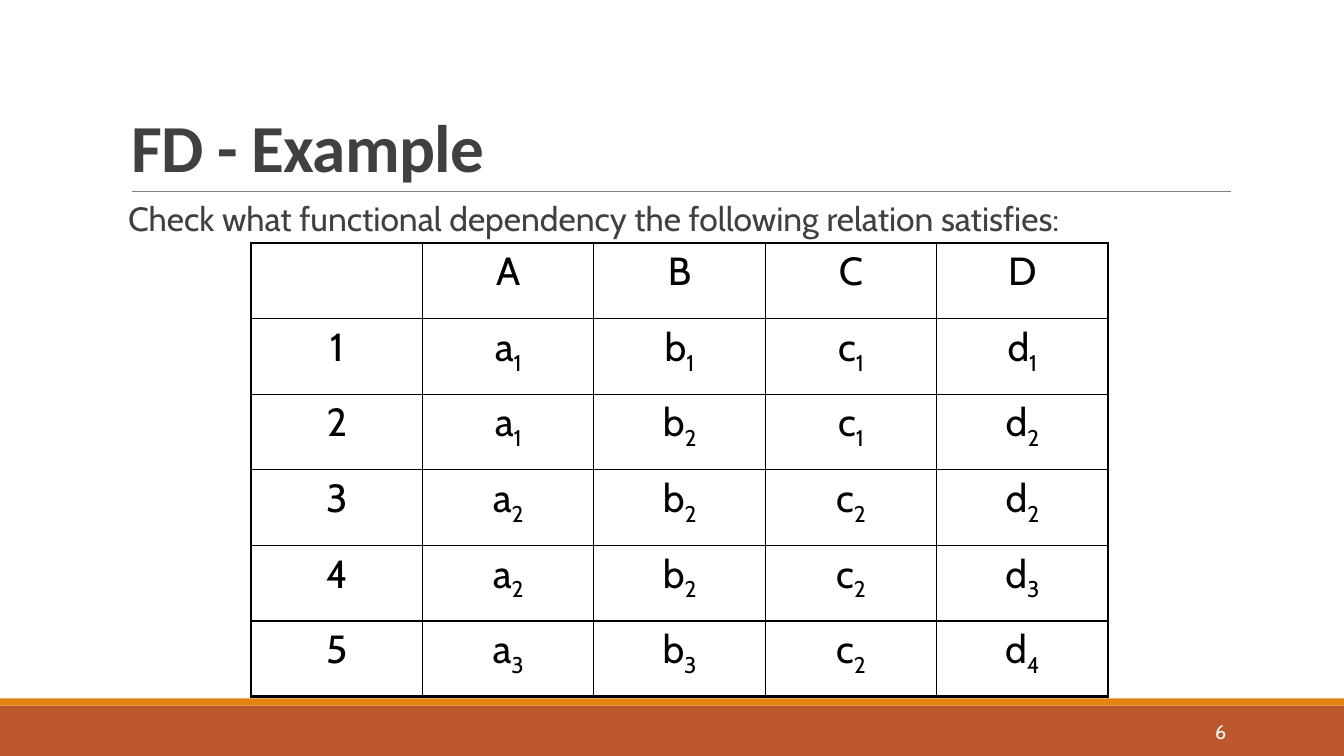
from lxml.etree import SubElement
from pptx import Presentation
from pptx.dml.color import RGBColor
from pptx.enum.shapes import MSO_CONNECTOR, MSO_SHAPE
from pptx.enum.text import MSO_ANCHOR, MSO_AUTO_SIZE, PP_ALIGN
from pptx.oxml.ns import qn
from pptx.util import Inches, Pt

BLACK = RGBColor(0x00, 0x00, 0x00)
WHITE = RGBColor(0xFF, 0xFF, 0xFF)
DARK_GRAY = RGBColor(0x40, 0x40, 0x40)
RULE_GRAY = RGBColor(0x80, 0x80, 0x80)
RUST = RGBColor(0xBD, 0x58, 0x2C)
ORANGE = RGBColor(0xE4, 0x83, 0x12)

SLIDE_WIDTH, SLIDE_HEIGHT = Inches(13.33), Inches(7.5)
COLUMN, ROW = Inches(1.7), Inches(0.75)
THIN, THICK = Pt(1), Pt(2.25)

RELATION = [
    ["", "A", "B", "C", "D"],
    ["1", "a1", "b1", "c1", "d1"],
    ["2", "a1", "b2", "c1", "d2"],
    ["3", "a2", "b2", "c2", "d2"],
    ["4", "a2", "b2", "c2", "d3"],
    ["5", "a3", "b3", "c2", "d4"],
]


def place(part, box):
    """Move a placeholder to its box."""
    part.left, part.top, part.width, part.height = box


def style(paragraph, size, color, face="Cabin", align=PP_ALIGN.LEFT):
    """Set the font and alignment of a paragraph."""
    paragraph.alignment = align
    paragraph.space_before = Pt(0)
    paragraph.font.size = Pt(size)
    paragraph.font.name = face
    paragraph.font.color.rgb = color


def add_footer(slide, box):
    """Draw the two footer bands and the page number."""
    left, top, width, height = box
    stripe = Inches(0.07)
    for band_top, band_height, color in (
        (top + stripe, height - stripe, RUST),
        (top, stripe, ORANGE),
    ):
        band = slide.shapes.add_shape(
            MSO_SHAPE.RECTANGLE, left, band_top, width, band_height)
        band.shadow.inherit = False
        band.fill.solid()
        band.fill.fore_color.rgb = color
        band.line.fill.background()
    page = slide.shapes.add_textbox(
        left + Inches(10.83), top + Inches(0.13), Inches(1.43), Inches(0.4))
    page.text_frame.word_wrap = True
    page.text_frame.vertical_anchor = MSO_ANCHOR.MIDDLE
    page.text_frame.text = "6"
    style(page.text_frame.paragraphs[0], 14, WHITE, align=PP_ALIGN.RIGHT)


def add_heading(slide, box):
    """Fill the title and draw the rule along its lower edge."""
    left, top, width, height = box
    title = slide.shapes.title
    place(title, box)
    frame = title.text_frame
    frame.text = "FD - Example"
    frame.vertical_anchor = MSO_ANCHOR.BOTTOM
    frame.auto_size = MSO_AUTO_SIZE.NONE
    heading = frame.paragraphs[0]
    style(heading, 48, DARK_GRAY, "Calibri")
    heading.font.bold = True
    heading.line_spacing = 0.85
    heading.runs[0].font._element.set("spc", "-50")
    bottom = top + height
    rule = slide.shapes.add_connector(
        MSO_CONNECTOR.STRAIGHT, left + Inches(0.11), bottom,
        left + width + Inches(0.01), bottom)
    rule.line.color.rgb = RULE_GRAY
    rule.line.width = Pt(0.5)
    SubElement(rule._element.spPr, qn("a:effectLst"))


def add_question(slide, box):
    """Fill the body with the question, without a bullet."""
    body = slide.placeholders[1]
    place(body, box)
    frame = body.text_frame
    frame.text = "Check what functional dependency the following relation satisfies:"
    frame.auto_size = MSO_AUTO_SIZE.NONE
    question = frame.paragraphs[0]
    properties = question._p.get_or_add_pPr()
    properties.set("marL", "0")
    properties.set("indent", "0")
    SubElement(properties, qn("a:buNone"))
    style(question, 24, DARK_GRAY)


def set_borders(cell, widths):
    """Give a cell black borders: left, right, top, bottom."""
    properties = cell._tc.get_or_add_tcPr()
    for position, (side, width) in enumerate(zip("LRTB", widths)):
        border = SubElement(properties, qn(f"a:ln{side}"), w=str(width))
        fill = SubElement(border, qn("a:solidFill"))
        SubElement(fill, qn("a:srgbClr"), val=str(BLACK))
        properties.insert(position, border)


def fill_cell(cell, label):
    """Write a label, with its index lowered as a subscript."""
    entry = cell.text_frame.paragraphs[0]
    style(entry, 28, BLACK, align=PP_ALIGN.CENTER)
    if label:
        entry.add_run().text = label[0]
    if label[1:]:
        index = entry.add_run()
        index.text = label[1:]
        index.font._element.set("baseline", "-25000")


def add_relation(slide, box):
    """Draw the relation as a table with a thick frame."""
    last_row, last_column = len(RELATION) - 1, len(RELATION[0]) - 1
    table = slide.shapes.add_table(last_row + 1, last_column + 1, *box).table
    table.first_row = False
    table.horz_banding = False
    for r, labels in enumerate(RELATION):
        for c, label in enumerate(labels):
            cell = table.cell(r, c)
            cell.fill.background()
            on_frame = (c == 0, c == last_column, r == 0, r == last_row)
            set_borders(cell, [THICK if edge else THIN for edge in on_frame])
            fill_cell(cell, label)


def main():
    """Build the slide and save it."""
    prs = Presentation()
    prs.slide_width, prs.slide_height = SLIDE_WIDTH, SLIDE_HEIGHT
    slide = prs.slides.add_slide(prs.slide_layouts[1])
    footer_top = Inches(6.93)
    add_footer(slide, (0, footer_top, SLIDE_WIDTH, SLIDE_HEIGHT - footer_top))
    add_heading(slide, (Inches(1.2), Inches(0.31), Inches(11), Inches(1.59)))
    add_question(slide, (Inches(1.17), Inches(1.91), Inches(11.41), Inches(0.5)))
    add_relation(slide, (Inches(2.49), Inches(2.41),
                         COLUMN * len(RELATION[0]), ROW * len(RELATION)))
    prs.save("out.pptx")


if __name__ == "__main__":
    main()
